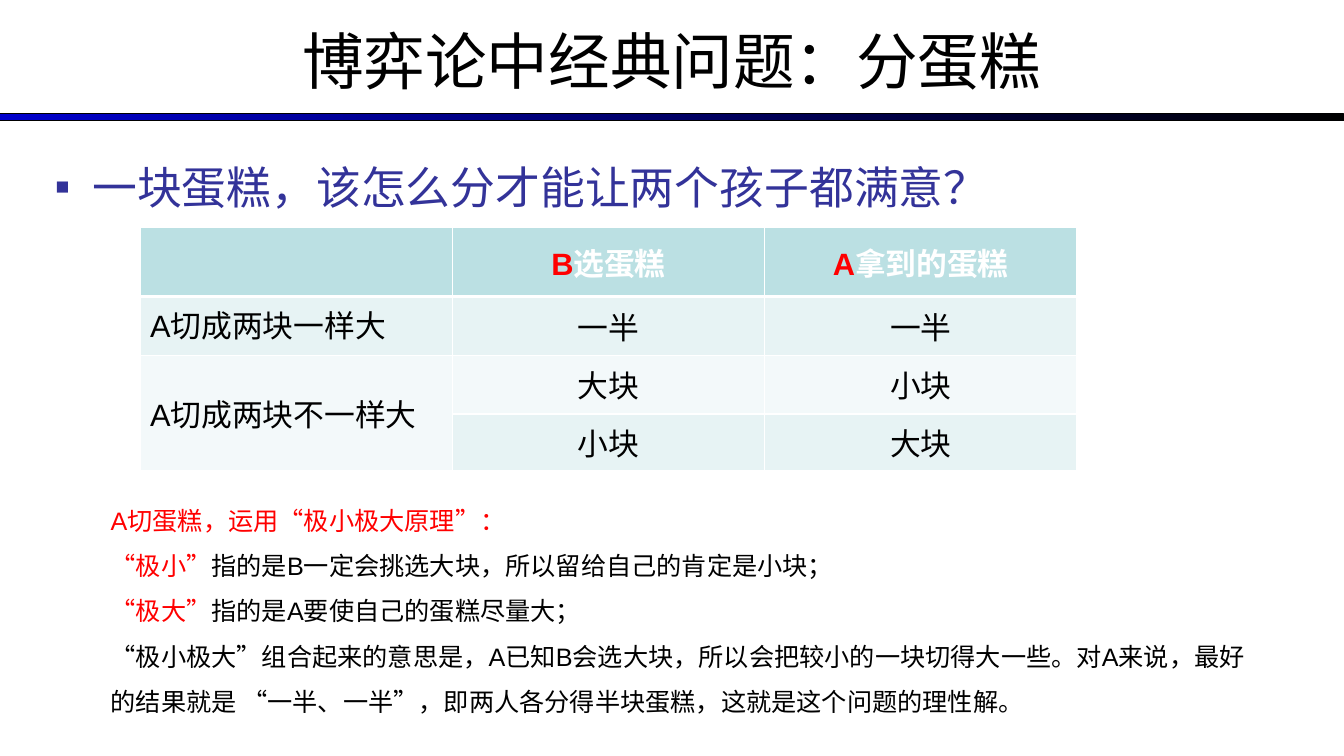
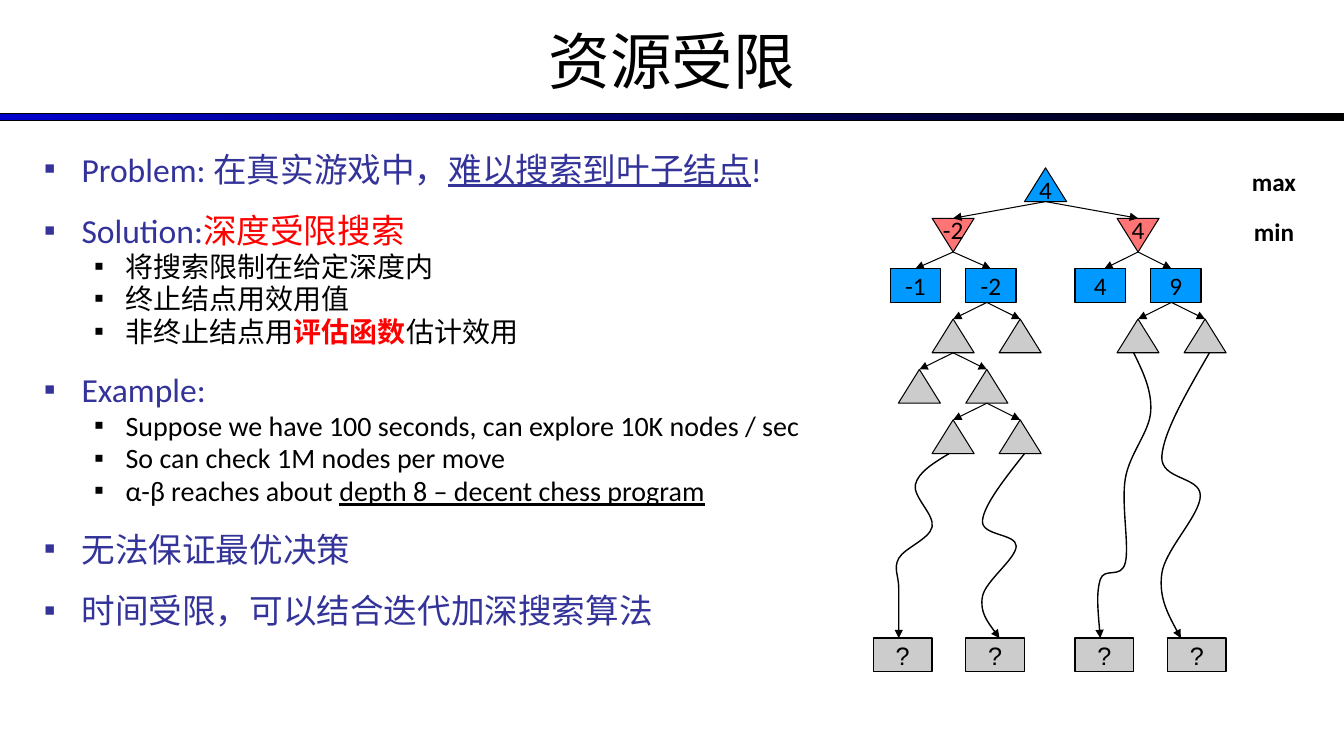
import pptx
import pptx.dml.color
import pptx.enum.lang
import pptx.enum.shapes
import pptx.enum.text
import pptx.oxml.ns
import pptx.util
from lxml import etree

Cm = pptx.util.Cm
Pt = pptx.util.Pt
qn = pptx.oxml.ns.qn
SHAPE = pptx.enum.shapes.MSO_SHAPE
ALIGN = pptx.enum.text.PP_ALIGN
ANCHOR = pptx.enum.text.MSO_ANCHOR
NO_FIT = pptx.enum.text.MSO_AUTO_SIZE.NONE
CHINESE = pptx.enum.lang.MSO_LANGUAGE_ID.SIMPLIFIED_CHINESE

COLORS = {
    "black": "000000", "white": "FFFFFF", "navy": "333399", "band": "0000CC",
    "red": "FF0000", "max": "0099FF", "min": "FF7575", "unknown": "CCCCCC",
    "header": "BBE0E3", "dark_row": "E7F3F4", "light_row": "F3F9FA",
}
LEVELS = [
    {"size": 24, "color": "navy", "margin": 0.95, "indent": -0.95},
    {"size": 20, "color": "black", "margin": 2.06, "indent": -0.79},
]
SECTION_GAP = 21
RED = {"color": "red"}
BLACK = {"color": "black"}
TIMES = {"name": "Times New Roman"}
UNDERLINED = {"underline": True}

TABLE_ROWS = [
    (1.73, "header", [[], [("B", RED), ("选蛋糕", {})], [("A", RED), ("拿到的蛋糕", {})]]),
    (1.48, "dark_row", [[("A切成两块一样大", {})], [("一半", {})], [("一半", {})]]),
    (1.48, "light_row", [[("A切成两块不一样大", {})], [("大块", {})], [("小块", {})]]),
    (1.43, "dark_row", [[], [("小块", {})], [("大块", {})]]),
]
EXPLANATION = [
    [("A切蛋糕，运用“极小极大原理”：", RED)],
    [("“极小”", RED), ("指的是B一定会挑选大块，所以留给自己的肯定是小块；\n", BLACK),
     ("“极大”", RED), ("指的是A要使自己的蛋糕尽量大；\n"
                     "“极小极大”组合起来的意思是，A已知B会选大块，所以会把较小的一块切得大一些。"
                     "对A来说，最好的结果就是 “一半、一半”，即两人各分得半块蛋糕，"
                     "这就是这个问题的理性解。", BLACK)],
]
CAKE_LIST = [(0, 5, [("一块蛋糕，该怎么分才能让两个孩子都满意？", {"size": Pt(32)})])]
RESOURCE_LIST = [
    (0, 5, [("Problem: ", {}), ("在真实游戏中，", TIMES),
            ("难以搜索到叶子结点", {**TIMES, **UNDERLINED}), ("!", {})]),
    (0, SECTION_GAP, [("Solution:", {}), ("深度受限搜索", {**TIMES, **RED})]),
    (1, 4, [("将搜索限制在给定深度内", TIMES)]),
    (1, 4, [("终止结点用效用值", TIMES)]),
    (1, 4, [("非终止结点用", TIMES), ("评估函数", {**TIMES, **RED, "bold": True}),
            ("估计效用", TIMES)]),
    (0, SECTION_GAP, [("Example:", {})]),
    (1, 4, [("Suppose we have 100 seconds, can explore 10K nodes / sec", {})]),
    (1, 4, [("So can check 1M nodes per move", {})]),
    (1, 4, [("α-β reaches about ", {}), ("depth 8 – decent chess program", UNDERLINED)]),
    (0, SECTION_GAP, [("无法保证最优决策", TIMES)]),
    (0, SECTION_GAP, [("时间受限，可以结合迭代加深搜索算法", TIMES)]),
]

LEVEL_STEP = 1.27
NODE_HEIGHT = 0.85
LEAF_TOP = 11.85
NODE_KINDS = {
    "max": {"shape": SHAPE.ISOSCELES_TRIANGLE, "width": 1.06, "color": "max", "line": 0.75},
    "min": {"shape": SHAPE.ISOSCELES_TRIANGLE, "width": 1.06, "color": "min", "line": 0.75},
    "value": {"shape": SHAPE.RECTANGLE, "width": 1.27, "color": "max", "line": 1},
    "open": {"shape": SHAPE.ISOSCELES_TRIANGLE, "width": 1.06, "color": "unknown", "line": 0.75},
    "leaf": {"shape": SHAPE.RECTANGLE, "width": 1.48, "color": "unknown", "line": 1},
}
NODES = {
    "root": ("max", 4.34, 0, "4"),
    "left": ("min", 2.01, 1, "-2"), "right": ("min", 6.67, 1, "4"),
    "value_1": ("value", 1.06, 2, "-1"), "value_2": ("value", 2.96, 2, "-2"),
    "value_3": ("value", 5.72, 2, "4"), "value_4": ("value", 7.62, 2, "9"),
    "open_1": ("open", 2.01, 3, ""), "open_2": ("open", 3.7, 3, ""),
    "open_3": ("open", 6.67, 3, ""), "open_4": ("open", 8.36, 3, ""),
    "open_5": ("open", 1.16, 4, ""), "open_6": ("open", 2.86, 4, ""),
    "open_7": ("open", 2.01, 5, ""), "open_8": ("open", 3.7, 5, ""),
}
CHILDREN = {
    "root": ("left", "right"), "left": ("value_1", "value_2"), "right": ("value_3", "value_4"),
    "value_2": ("open_1", "open_2"), "value_4": ("open_3", "open_4"),
    "open_1": ("open_5", "open_6"), "open_6": ("open_7", "open_8"),
}
BOTTOM_PORTS = {"value_2": 2.86, "value_4": 7.51}
TOP_PORTS = {"value_3": 5.82, "value_4": 7.51}
LEAF_CENTERS = [0.74, 3.07, 5.82, 8.15]
DEEP_ROUTES = [
    [(1.91, 7.2), (1.06, 7.98), (1.48, 9.05), (0.64, 9.84), (0.64, 10.6), (0.64, LEAF_TOP)],
    [(3.81, 7.2), (2.75, 8.89), (3.6, 9.53), (2.75, 10.8), (3.18, LEAF_TOP)],
    [(8.47, 4.66), (7.27, 7.27), (8.24, 8.26), (7.27, 10.22), (7.75, LEAF_TOP)],
    [(6.56, 4.66), (6.99, 6.14), (6.35, 7.83), (6.35, 9.95), (5.72, 10.37), (5.72, LEAF_TOP)],
]


def rgb(name):
    """Return the named colour."""
    return pptx.dml.color.RGBColor.from_string(COLORS[name])


def lengths(*values):
    """Convert centimetres to lengths."""
    return [Cm(value) for value in values]


def apply_format(target, values):
    """Set each attribute named in a dict."""
    for attribute, value in values.items():
        setattr(target, attribute, value)


def write_runs(paragraph, runs, base, east_asian=None):
    """Add runs that each vary the base format, with line breaks."""
    for text, changes in runs:
        for index, line in enumerate(text.split("\n")):
            if index:
                paragraph.add_line_break()
            if not line:
                continue
            run = paragraph.add_run()
            run.text = line
            values = {**base, **changes}
            run.font.color.rgb = rgb(values.pop("color"))
            apply_format(run.font, values)
            if east_asian:
                etree.SubElement(run.font._element, qn("a:ea"), typeface=east_asian)


def set_line(line, color, width):
    """Give a line its colour and width in points."""
    line.color.rgb = rgb(color)
    line.width = Pt(width)


def add_arrowhead(shape):
    """Put a triangle at the end of a line."""
    etree.SubElement(shape.element.spPr.find(qn("a:ln")), qn("a:tailEnd"), type="triangle")


def prepare_layout(layout, slide):
    """Place the shared title and gradient band on the layout."""
    apply_format(layout.placeholders[0], dict(zip(("left", "top", "width", "height"),
                                                  lengths(0, -0.08, 33.87, 3.18))))
    band = slide.shapes.add_shape(SHAPE.RECTANGLE, *lengths(0, 2.87, 33.87, 0.18))
    band.shadow.inherit = False
    band.fill.gradient()
    band.fill.gradient_angle = 0
    for stop, color in zip(band.fill.gradient_stops, ("band", "black")):
        stop.color.rgb = rgb(color)
    set_line(band.line, "black", 0.75)
    layout.shapes.element.insert(2, band.element)


def add_title(slide, text):
    """Write the slide title."""
    frame = slide.shapes.title.text_frame
    apply_format(frame, {"vertical_anchor": ANCHOR.MIDDLE, "word_wrap": True, "auto_size": NO_FIT})
    frame.paragraphs[0].alignment = ALIGN.CENTER
    write_runs(frame.paragraphs[0], [(text, {})],
               {"name": "Calibri", "size": Pt(44), "color": "black"}, "Calibri")


def add_list(slide, box, items, line_spacing):
    """Fill the body placeholder with a bulleted list."""
    body = slide.placeholders[1]
    apply_format(body, dict(zip(("left", "top", "width", "height"), lengths(*box))))
    frame = body.text_frame
    frame.auto_size = NO_FIT
    for index, (level, gap, runs) in enumerate(items):
        paragraph = frame.add_paragraph() if index else frame.paragraphs[0]
        style = LEVELS[level]
        apply_format(paragraph, {"level": level, "space_before": Pt(gap),
                                 "line_spacing": line_spacing})
        properties = paragraph._p.get_or_add_pPr()
        properties.set("marL", str(Cm(style["margin"])))
        properties.set("indent", str(Cm(style["indent"])))
        bullet_color = etree.SubElement(properties, qn("a:buClr"))
        etree.SubElement(bullet_color, qn("a:srgbClr"), val=COLORS[style["color"]])
        etree.SubElement(properties, qn("a:buChar"), char="▪")
        write_runs(paragraph, runs, {"name": "Calibri", "size": Pt(style["size"]),
                                     "color": style["color"]}, "Calibri")


def set_borders(cell, widths):
    """Draw white cell borders with the given widths in points."""
    properties = cell._tc.get_or_add_tcPr()
    for index, (side, width) in enumerate(widths.items()):
        border = etree.Element(qn("a:ln" + side), w=str(Pt(width)))
        fill = etree.SubElement(border, qn("a:solidFill"))
        etree.SubElement(fill, qn("a:srgbClr"), val=COLORS["white"])
        properties.insert(index, border)


def add_cake_table(slide, box):
    """Add the table of cuts and choices."""
    table = slide.shapes.add_table(len(TABLE_ROWS), 3, *lengths(*box)).table
    table.horz_banding = False
    for column in table.columns:
        column.width = Cm(box[2] / 3)
    for row, (height, color, texts) in enumerate(TABLE_ROWS):
        table.rows[row].height = Cm(height)
        header = row == 0
        for column, runs in enumerate(texts):
            cell = table.cell(row, column)
            cell.fill.solid()
            cell.fill.fore_color.rgb = rgb(color)
            cell.vertical_anchor = ANCHOR.TOP if (row, column) == (1, 0) else ANCHOR.MIDDLE
            set_borders(cell, {"L": 1, "R": 1, "T": 3 if row == 1 else 1, "B": 3 if header else 1})
            paragraph = cell.text_frame.paragraphs[0]
            paragraph.alignment = ALIGN.CENTER if column else ALIGN.LEFT
            write_runs(paragraph, runs, {"name": "Arial", "size": Pt(22), "bold": header,
                                         "language_id": CHINESE,
                                         "color": "white" if header else "black"})
    table.cell(2, 0).merge(table.cell(3, 0))


def add_explanation(slide, box):
    """Add the paragraphs on the minimax principle."""
    frame = slide.shapes.add_textbox(*lengths(*box)).text_frame
    frame.word_wrap = True
    for index, runs in enumerate(EXPLANATION):
        paragraph = frame.add_paragraph() if index else frame.paragraphs[0]
        paragraph.line_spacing = 1.5
        write_runs(paragraph, runs, {"name": "Arial", "size": Pt(18), "language_id": CHINESE})


def add_node(slide, kind, center, top, label):
    """Add one tree node, given its top middle point."""
    style = NODE_KINDS[kind]
    width = style["width"]
    node = slide.shapes.add_shape(style["shape"],
                                  *lengths(center - width / 2, top, width, NODE_HEIGHT))
    node.shadow.inherit = False
    node.fill.solid()
    node.fill.fore_color.rgb = rgb(style["color"])
    set_line(node.line, "black", style["line"])
    frame = node.text_frame
    apply_format(frame, {"word_wrap": False, "vertical_anchor": ANCHOR.MIDDLE})
    if kind == "max":
        apply_format(frame, {"margin_top": Cm(0.51), "vertical_anchor": ANCHOR.BOTTOM})
    if kind == "min":
        node.rotation = 180
        frame.margin_top = Cm(0.25)
        frame._txBody.bodyPr.set("rot", "10800000")
    if label:
        frame.paragraphs[0].alignment = ALIGN.CENTER
        write_runs(frame.paragraphs[0], [(label, {})], {
            "name": "Arial" if kind == "leaf" else "Calibri", "size": Pt(18), "color": "black"})
    return node


def add_edge(slide, box, nodes, parent, child):
    """Draw an arrow from the bottom of a parent to the top of a child."""
    start = box[0] + BOTTOM_PORTS.get(parent, NODES[parent][1])
    end = box[0] + TOP_PORTS.get(child, NODES[child][1])
    edge = slide.shapes.add_connector(
        pptx.enum.shapes.MSO_CONNECTOR.STRAIGHT, Cm(start),
        nodes[parent].top + nodes[parent].height, Cm(end), nodes[child].top)
    if NODES[child][0] == "value" and child not in TOP_PORTS:
        edge.end_connect(nodes[child], 0)
    set_line(edge.line, "black", 0.75)
    add_arrowhead(edge)
    etree.SubElement(edge.element.spPr, qn("a:effectLst"))


def smooth_outline(outline):
    """Turn the straight segments of an outline into smooth curves."""
    knots = [(int(point.get("x")), int(point.get("y"))) for point in outline.iter(qn("a:pt"))]
    slopes = [[(after - before) / 6 for before, after in zip(*pair)]
              for pair in zip(knots, knots[2:])]
    segments = outline.findall(qn("a:lnTo"))
    for i, (segment, start, end) in enumerate(zip(segments, knots, knots[1:])):
        leave = [p + s for p, s in zip(start, slopes[i - 1])] if i else None
        arrive = [p - s for p, s in zip(end, slopes[i])] if i < len(slopes) else None
        leave = leave or [(p + a) / 2 for p, a in zip(start, arrive)]
        arrive = arrive or [(p + a) / 2 for p, a in zip(end, leave)]
        curve = etree.Element(qn("a:cubicBezTo"))
        for x, y in (leave, arrive, end):
            etree.SubElement(curve, qn("a:pt"), x=str(round(x)), y=str(round(y)))
        outline.replace(segment, curve)


def add_deep_route(slide, knots):
    """Draw a winding arrow down to an unexplored leaf."""
    builder = slide.shapes.build_freeform(*lengths(*knots[0]))
    builder.add_line_segments([lengths(*knot) for knot in knots[1:]], close=False)
    route = builder.convert_to_shape()
    smooth_outline(next(route.element.spPr.iter(qn("a:path"))))
    route.shadow.inherit = False
    route.fill.background()
    set_line(route.line, "black", 1)
    add_arrowhead(route)


def add_tree(slide, box):
    """Add the depth-limited game tree with its level labels."""
    left, top, width, _ = box
    nodes = {name: add_node(slide, kind, left + center, top + level * LEVEL_STEP, label)
             for name, (kind, center, level, label) in NODES.items()}
    for center in LEAF_CENTERS:
        add_node(slide, "leaf", left + center, top + LEAF_TOP, "?")
    for parent, children in CHILDREN.items():
        for child in children:
            add_edge(slide, box, nodes, parent, child)
    for knots in DEEP_ROUTES:
        add_deep_route(slide, [(left + x, top + y) for x, y in knots])
    for level, text in enumerate(("max", "min")):
        frame = slide.shapes.add_textbox(*lengths(
            left + width - 1.85, top - 0.17 + level * LEVEL_STEP, 1.85, 1.02)).text_frame
        apply_format(frame, {"word_wrap": True, "vertical_anchor": ANCHOR.MIDDLE})
        frame.paragraphs[0].alignment = ALIGN.CENTER
        write_runs(frame.paragraphs[0], [(text, {})],
                   {"name": "Calibri", "size": Pt(18), "bold": True, "color": "black"})


def main():
    """Build and save the presentation."""
    presentation = pptx.Presentation()
    apply_format(presentation, {"slide_width": Cm(33.87), "slide_height": Cm(19.05)})
    layout = presentation.slide_layouts[1]
    cake, resources = [presentation.slides.add_slide(layout) for _ in range(2)]
    prepare_layout(layout, cake)
    add_title(cake, "博弈论中经典问题：分蛋糕")
    add_list(cake, (1.12, 3.89, 31.6, 13.13), CAKE_LIST, 1.0)
    add_cake_table(cake, (3.53, 5.74, 23.61, 6.12))
    add_explanation(cake, (2.54, 12.22, 29.41, 5.89))
    add_title(resources, "资源受限")
    add_list(resources, (0.85, 3.81, 19.69, 12.57), RESOURCE_LIST, 0.8)
    add_tree(resources, (22.01, 4.23, 11.02, 12.7))
    presentation.save("out.pptx")


if __name__ == "__main__":
    main()
